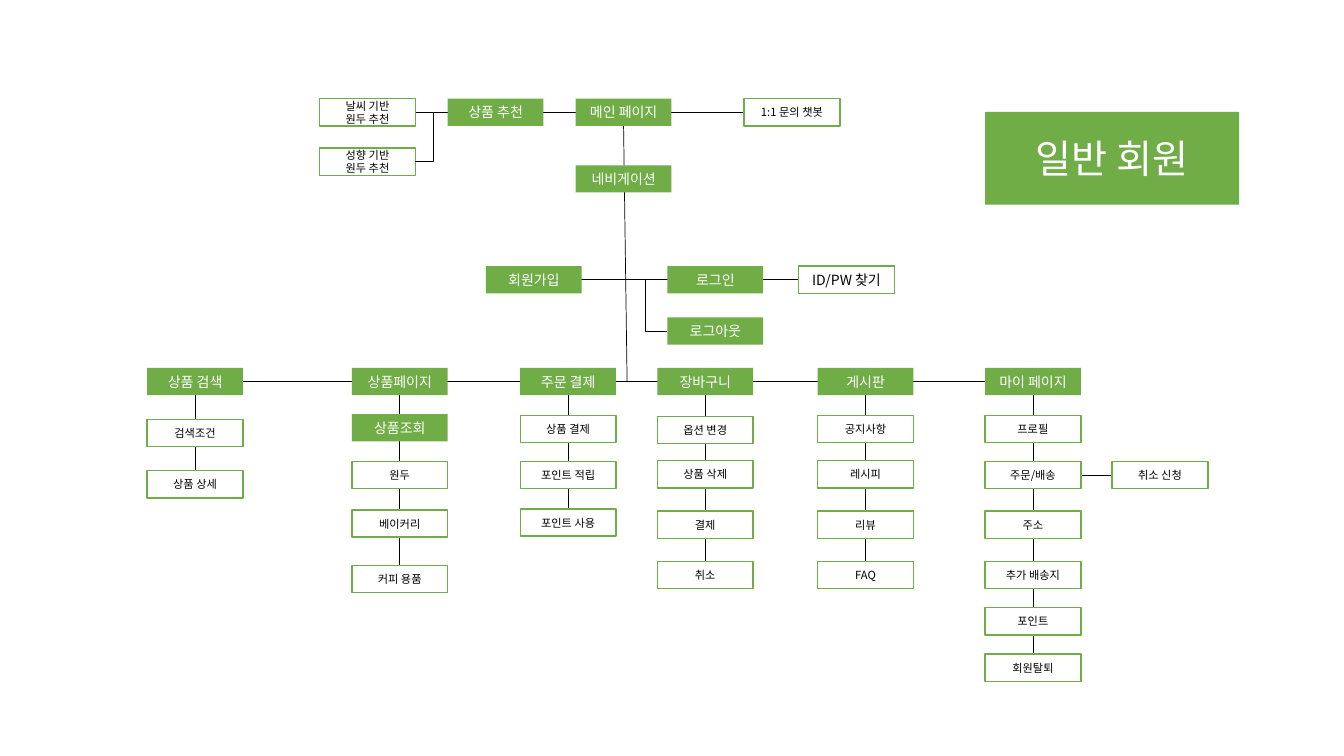
from dataclasses import dataclass

from lxml import etree
from pptx import Presentation
from pptx import util as u
from pptx.dml.color import RGBColor
from pptx.enum import shapes, text
from pptx.oxml.ns import qn

PX = 9144  # EMU per px, 100 px to the inch
BOX_W, BOX_H = 95, 27
HEADER_Y = 365
GREEN, WHITE, BLACK = "70AD47", "FFFFFF", "000000"
FONT = "Noto Sans CJK KR"
TOP, LEFT, BOTTOM, RIGHT = range(4)


@dataclass
class Page:
    label: str
    x: int
    y: int
    filled: bool = False
    size: int = 8
    width: int = BOX_W
    height: int = BOX_H


@dataclass
class Menu:
    title: str
    x: int
    items: list[tuple[str, int]]  # label and top


@dataclass
class Link:
    start: str
    start_side: int
    end: str
    end_side: int


UPPER_PAGES = [
    Page("날씨 기반\v원두 추천", 317, 98),
    Page("성향 기반\v원두 추천", 317, 147),
    Page("상품 추천", 444, 98, True, 10),
    Page("메인 페이지", 571, 98, True, 10),
    Page("1:1 문의 챗봇", 738, 98),
    Page("네비게이션", 571, 164, True, 10),
    Page("회원가입", 482, 264, True, 10),
    Page("로그인", 662, 264, True, 10),
    Page("ID/PW 찾기", 792, 264, False, 10),
    Page("로그아웃", 662, 315, True, 10),
    Page("상품조회", 349, 411, True, 10),
    Page("취소 신청", 1103, 458),
    Page("일반 회원", 977, 111, True, 28, 252, 92),
]

MENUS = [
    Menu("상품 검색", 146, [("검색조건", 416), ("상품 상세", 467)]),
    Menu("상품페이지", 349, [("원두", 458), ("베이커리", 506), ("커피 용품", 561)]),
    Menu("주문 결제", 516, [("상품 결제", 412), ("포인트 적립", 458), ("포인트 사용", 505)]),
    Menu("장바구니", 652, [("옵션 변경", 413), ("상품 삭제", 457), ("결제", 507), ("취소", 557)]),
    Menu("게시판", 811, [("공지사항", 412), ("레시피", 457), ("리뷰", 507), ("FAQ", 557)]),
    Menu("마이 페이지", 977, [("프로필", 412), ("주문/배송", 458), ("주소", 507),
                         ("추가 배송지", 557), ("포인트", 603), ("회원탈퇴", 649)]),
]

# Long lines run behind the boxes they pass
LINKS = [
    Link("날씨 기반\v원두 추천", LEFT, "1:1 문의 챗봇", RIGHT),
    Link("회원가입", LEFT, "ID/PW 찾기", RIGHT),
    Link("상품 검색", LEFT, "마이 페이지", RIGHT),
    Link("주문/배송", RIGHT, "취소 신청", RIGHT),
] + [Link(menu.title, TOP, menu.items[-1][0], BOTTOM) for menu in MENUS]


def px(length: int) -> u.Emu:
    return u.Emu(length * PX)


def color(hex_value: str) -> RGBColor:
    return RGBColor.from_string(hex_value)


def write(frame, content: str, *, size: int, ink: str) -> None:
    frame.word_wrap = True
    frame.vertical_anchor = text.MSO_ANCHOR.MIDDLE
    frame.margin_left = frame.margin_right = px(4)
    frame.margin_top = frame.margin_bottom = px(5)
    paragraph = frame.paragraphs[0]
    paragraph.text = content
    paragraph.alignment = text.PP_ALIGN.CENTER
    for run in paragraph.runs:
        run.font.size = u.Pt(size)
        run.font.name = FONT
        run.font.color.rgb = color(ink)
        etree.SubElement(run.font._element, qn("a:ea"), typeface=FONT)


def draw_page(slide, page: Page):
    box = slide.shapes.add_shape(shapes.MSO_SHAPE.RECTANGLE, px(page.x), px(page.y),
                                 px(page.width), px(page.height))
    box.shadow.inherit = False
    box.fill.solid()
    box.fill.fore_color.rgb = color(GREEN if page.filled else WHITE)
    if page.filled:
        box.line.fill.background()
    else:
        box.line.color.rgb = color(GREEN)
        box.line.width = u.Pt(1)
    write(box.text_frame, page.label, size=page.size,
          ink=WHITE if page.filled else BLACK)
    return box


def draw_line(slide, end_x: int = 0, end_y: int = 0,
              kind=shapes.MSO_CONNECTOR.STRAIGHT):
    line = slide.shapes.add_connector(kind, 0, 0, px(end_x), px(end_y))
    line.line.color.rgb = color(BLACK)
    line.line.width = u.Pt(0.5)
    etree.SubElement(line.element.spPr, qn("a:effectLst"))
    return line


def send_to_back(slide, line) -> None:
    slide.shapes.element.insert(2, line.element)


def draw_elbow(slide, box, side: int, end_x: int, end_y: int) -> None:
    """Leave the box sideways, then turn once towards the end."""
    elbow = draw_line(slide, end_x, end_y, shapes.MSO_CONNECTOR.ELBOW)
    elbow.begin_connect(box, side)
    elbow.element.spPr.find(qn("a:prstGeom")).set("prst", "bentConnector2")


def main() -> None:
    deck = Presentation()
    deck.slide_width, deck.slide_height = px(1333), px(750)
    slide = deck.slides.add_slide(deck.slide_layouts[6])

    # Boxes
    pages = list(UPPER_PAGES)
    for menu in MENUS:
        pages.append(Page(menu.title, menu.x, HEADER_Y, True, 10))
        pages += [Page(label, menu.x, top) for label, top in menu.items]
    boxes = {page.label: draw_page(slide, page) for page in pages}

    # Lines joined at both ends
    for link in LINKS:
        line = draw_line(slide)
        line.begin_connect(boxes[link.start], link.start_side)
        line.end_connect(boxes[link.end], link.end_side)
        send_to_back(slide, line)

    # Trunk from the main page down to the menu row
    trunk = draw_line(slide, 622, 379)
    trunk.begin_connect(boxes["메인 페이지"], BOTTOM)
    send_to_back(slide, trunk)

    # Branches with one turn
    draw_elbow(slide, boxes["성향 기반\v원두 추천"], RIGHT, 430, 111)
    draw_elbow(slide, boxes["로그아웃"], LEFT, 640, 277)

    deck.save("out.pptx")


if __name__ == "__main__":
    main()
